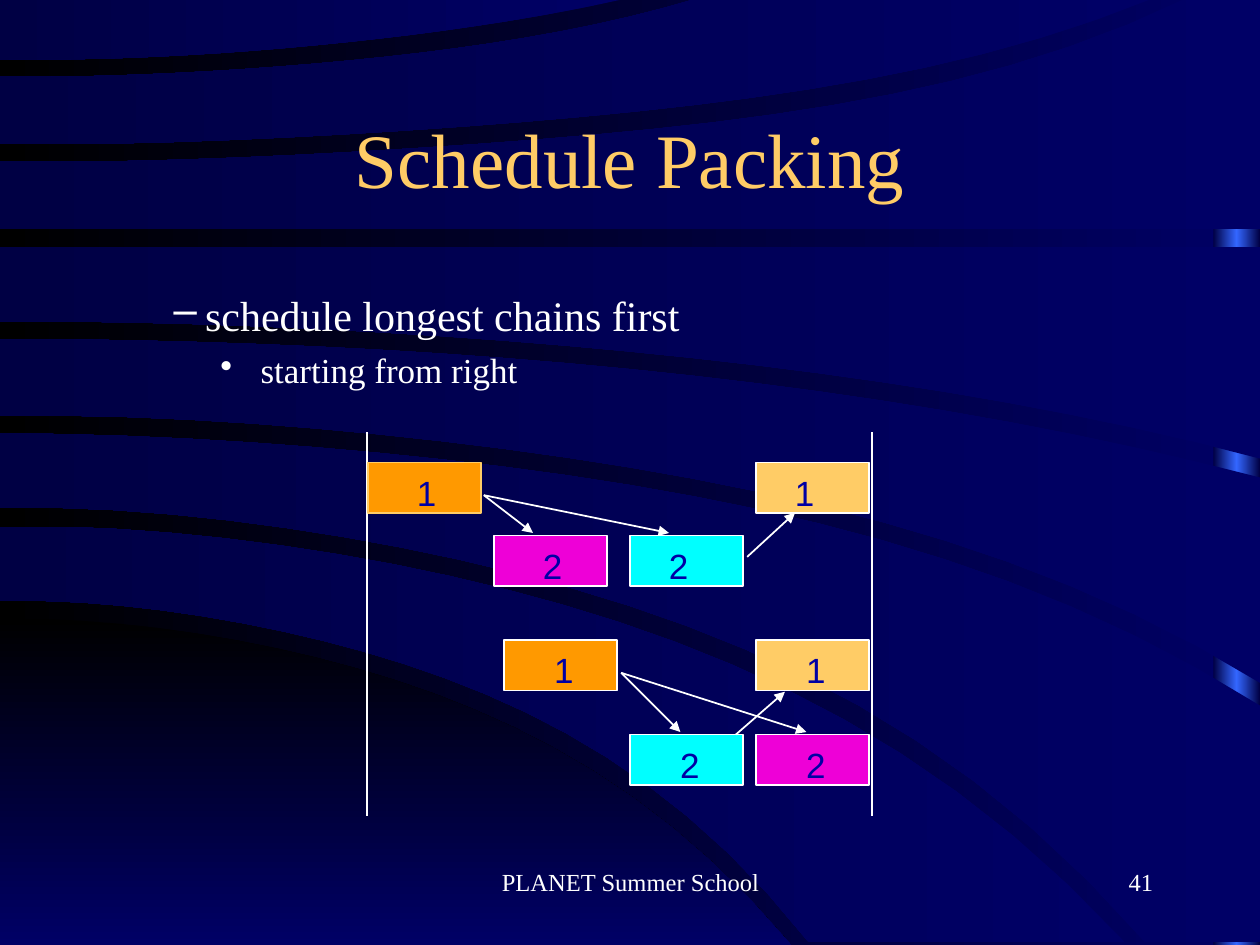
from copy import deepcopy
from dataclasses import dataclass
from math import prod

from lxml import etree
from pptx import Presentation
from pptx.dml.color import RGBColor
from pptx.enum.shapes import MSO_CONNECTOR as Connector, MSO_SHAPE as Shape
from pptx.enum.text import MSO_ANCHOR as Anchor, PP_ALIGN as Align
from pptx.oxml.ns import qn
from pptx.util import Inches, Pt


@dataclass(frozen=True)
class Theme:
    navy: str = "000066"
    dark_navy: str = "000044"
    black: str = "000000"
    glow: str = "3366FF"
    white: str = "FFFFFF"
    gold: str = "FFCC66"
    orange: str = "FF9900"
    cyan: str = "00FFFF"
    magenta: str = "EE00D7"
    label: str = "0000A4"
    serif: str = "Times New Roman"
    sans: str = "Arial"
    title_size: int = 44
    first_size: int = 24
    second_size: int = 20
    footer_size: int = 14
    line_width: int = 1


THEME = Theme()
BOX_WIDTH, BOX_HEIGHT = 0.9, 0.4
EDGE_STEPS = 20


def edge(width, *heights):
    """Smooth curve from x = 0 to width through evenly spaced heights."""
    last = len(heights) - 1
    points = []
    for step in range(EDGE_STEPS + 1):
        u = last * step / EDGE_STEPS
        y = sum(height * prod((u - j) / (i - j) for j in range(last + 1) if j != i)
                for i, height in enumerate(heights))
        points.append((width * step / EDGE_STEPS, y))
    return points


def band(upper, lower, *corners):
    return [*upper, *corners, *reversed(lower)]


DISC = [*edge(6.28, 4.91, 5.03, 5.4, 6.12, 7.5), (0, 7.5)]
BANDS = [
    band(edge(8.93, 4.18, 4.33, 4.8, 5.71, 7.48), edge(6.42, 4.77, 4.89, 5.27, 6.01, 7.48)),
    band(edge(10, 3.44, 3.55, 3.85, 4.44, 5.6), edge(9.09, 4.03, 4.19, 4.67, 5.6, 7.48), (10, 7.48)),
    band(edge(10, 2.69, 2.75, 2.93, 3.26, 3.79), edge(10, 3.3, 3.4, 3.71, 4.29, 5.42)),
    band(edge(10, 1.96, 1.96), edge(10, 2.55, 2.61, 2.79, 3.11, 3.64)),
    band(edge(9.43, 1.28, 1.23, 1.07, 0.75, -0.02), edge(10, 1.82, 1.82), (10, -0.02)),
    band(edge(5.56, 0.61, 0.58, 0.48, 0.3, -0.02), edge(9.17, 1.14, 1.09, 0.93, 0.63, -0.02)),
    band(edge(5.01, -0.02, -0.02), edge(5.01, 0.47, 0.45, 0.36, 0.21, -0.02)),
]


def write(paragraph, text, *, size, color=THEME.white, font=THEME.serif, align=Align.LEFT):
    paragraph.alignment = align
    run = paragraph.add_run()
    run.text = text
    run.font.size = Pt(size)
    run.font.name = font
    run.font.color.rgb = RGBColor.from_string(color)


def set_gradient(fill, first, last, angle=180):
    fill.gradient()
    fill.gradient_angle = angle
    for stop, color in zip(fill.gradient_stops, (first, last)):
        stop.color.rgb = RGBColor.from_string(color)


class SlideBuilder:
    def __init__(self, slide, theme):
        self.slide, self.theme = slide, theme
        self.shapes = slide.shapes

    def background(self):
        set_gradient(self.slide.background.fill, self.theme.navy, self.theme.black)

    def edge_glow(self):
        shape = self.shapes.add_shape(Shape.RECTANGLE, Inches(9.63), 0, Inches(0.37), Inches(7.5))
        shape.shadow.inherit = False
        shape.line.fill.background()
        set_gradient(shape.fill, self.theme.dark_navy, self.theme.glow)
        stops = shape.element.spPr.find(".//" + qn("a:gsLst"))
        stops.append(deepcopy(stops[0]))
        for stop, position in zip(stops, (0, 50000, 100000)):
            stop.set("pos", str(position))

    def curve(self, points, first, last, angle=180):
        corners = [(Inches(x), Inches(y)) for x, y in points]
        builder = self.shapes.build_freeform(*corners[0])
        builder.add_line_segments(corners[1:])
        shape = builder.convert_to_shape()
        shape.shadow.inherit = False
        shape.line.fill.background()
        set_gradient(shape.fill, first, last, angle)

    def title(self, text):
        title = self.shapes.title
        title.left, title.top, title.width, title.height = map(Inches, (0.75, 0.42, 8.5, 1.25))
        title.text_frame.vertical_anchor = Anchor.BOTTOM
        write(title.text_frame.paragraphs[0], text, size=self.theme.title_size,
              color=self.theme.gold, align=Align.CENTER)
        title.element.getparent().append(title.element)

    def text(self, left, top, width, height, text="", **style):
        frame = self.shapes.add_textbox(*map(Inches, (left, top, width, height))).text_frame
        frame.word_wrap = True
        if text:
            write(frame.paragraphs[0], text, **style)
        return frame

    def bullet(self, paragraph, text, mark, margin, indent, size):
        properties = paragraph._p.get_or_add_pPr()
        properties.set("marL", str(Inches(margin)))
        properties.set("indent", str(Inches(indent)))
        etree.SubElement(properties, qn("a:buChar")).set("char", mark)
        write(paragraph, text, size=size)

    def box(self, left, top, color, outline):
        shape = self.shapes.add_shape(
            Shape.RECTANGLE, *map(Inches, (left, top, BOX_WIDTH, BOX_HEIGHT)))
        shape.shadow.inherit = False
        shape.fill.solid()
        shape.fill.fore_color.rgb = RGBColor.from_string(color)
        shape.line.color.rgb = RGBColor.from_string(outline)
        shape.line.width = Pt(self.theme.line_width)

    def line(self, start, end, arrow=False):
        connector = self.shapes.add_connector(
            Connector.STRAIGHT, *map(Inches, (*start, *end)))
        connector.line.color.rgb = RGBColor.from_string(self.theme.white)
        connector.line.width = Pt(self.theme.line_width)
        if arrow:
            tail = etree.SubElement(connector.line._get_or_add_ln(), qn("a:tailEnd"))
            tail.set("type", "triangle")
        etree.SubElement(connector.element.spPr, qn("a:effectLst"))

    def schedule(self, tasks, arrows):
        for left, top, color, outline, _, _ in tasks:
            self.box(left, top, color, outline)
        for start, end in arrows:
            self.line(start, end, arrow=True)
        for left, top, _, _, machine, offset in tasks:
            self.text(left + offset, top + 0.02, 0.38, 0.43, machine, size=self.theme.second_size,
                      color=self.theme.label, font=self.theme.sans)


def main():
    presentation = Presentation()
    presentation.slide_width, presentation.slide_height = Inches(10), Inches(7.5)
    slide = presentation.slides.add_slide(presentation.slide_layouts[5])
    theme = THEME
    builder = SlideBuilder(slide, theme)

    builder.background()
    builder.edge_glow()
    builder.curve(DISC, theme.black, theme.navy, angle=270)
    for points in BANDS:
        builder.curve(points, theme.navy, theme.dark_navy)

    builder.title("Schedule Packing")
    body = builder.text(1.15, 2.25, 7.66, 4.04)
    builder.bullet(body.paragraphs[0], "schedule longest chains first", "–", 0.38, -0.25,
                   theme.first_size)
    detail = body.add_paragraph()
    detail.space_before = Pt(5)
    builder.bullet(detail, "starting from right", "•", 0.82, -0.32, theme.second_size)

    for x in (2.91, 6.92):
        builder.line((x, 3.43), (x, 6.48))

    top, bottom, source = 5.08, 5.83, (4.93, 5.34)
    builder.schedule(
        [(4, top, theme.orange, theme.white, "1", 0.3),
         (5, bottom, theme.cyan, theme.white, "2", 0.3),
         (6, bottom, theme.magenta, theme.white, "2", 0.3),
         (6, top, theme.gold, theme.white, "1", 0.3)],
        [(source, (5.4, 5.81)), (source, (6.4, 5.81)), ((5.84, bottom), (6.23, 5.49))])

    top, bottom, source = 3.67, 4.25, (3.84, 3.93)
    builder.schedule(
        [(2.92, top, theme.orange, theme.gold, "1", 0.29),
         (3.92, bottom, theme.magenta, theme.white, "2", 0.29),
         (5, bottom, theme.cyan, theme.white, "2", 0.21),
         (6, top, theme.gold, theme.white, "1", 0.21)],
        [(source, (4.23, 4.23)), (source, (5.31, 4.23)), ((5.93, 4.42), (6.31, 4.07))])

    builder.text(3.42, 6.83, 3.17, 0.5, "PLANET Summer School", size=theme.footer_size,
                 align=Align.CENTER)
    builder.text(7.17, 6.83, 2.08, 0.5, "41", size=theme.footer_size, align=Align.RIGHT)
    presentation.save("out.pptx")


if __name__ == "__main__":
    main()
